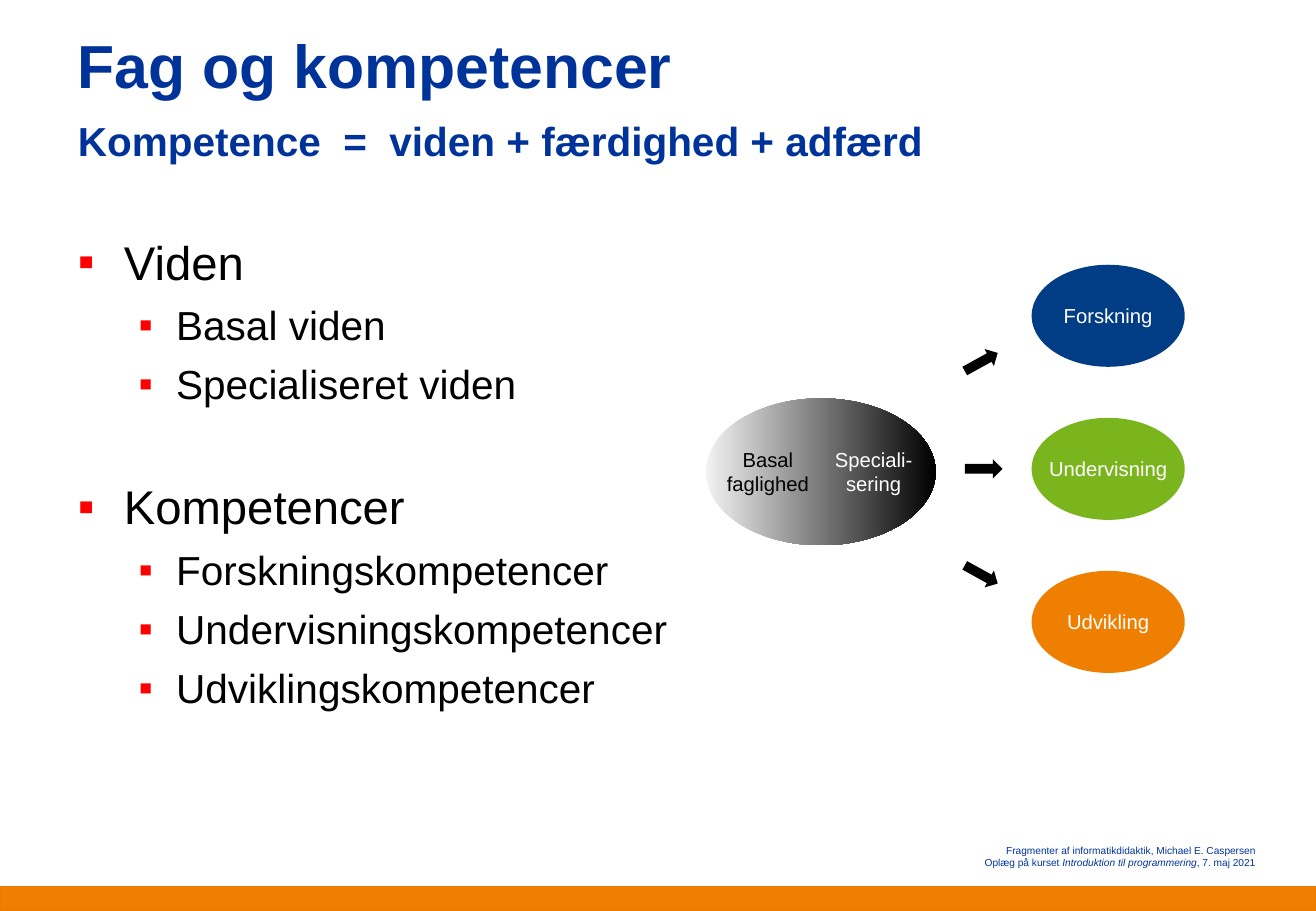
from dataclasses import dataclass
from typing import Optional

from lxml import etree
from pptx import Presentation
from pptx import util as u
from pptx.dml.color import RGBColor
from pptx.enum import shapes, text
from pptx.oxml import ns


@dataclass(frozen=True)
class Theme:
    font: str = "Arial"
    heading: str = "003399"
    ink: str = "000000"
    white: str = "FFFFFF"
    bullet: str = "FF0000"
    orange: str = "EE7F00"
    orange_edge: str = "E97C00"
    blue: str = "003D85"
    green: str = "7AB51D"
    pale: str = "F2F2F2"
    title_size: float = 36
    subtitle_size: float = 24
    topic_size: float = 28
    detail_size: float = 24
    label_size: float = 12
    footer_size: float = 6


@dataclass(frozen=True)
class Box:
    left: float
    top: float
    width: float
    height: float

    def lengths(self):
        return [u.Inches(n) for n in (self.left, self.top, self.width, self.height)]


@dataclass(frozen=True)
class Point:
    words: str
    level: int
    before: float


@dataclass(frozen=True)
class Outcome:
    name: str
    colour: str
    arrow: Box
    turn: float


THEME = Theme()
CENTER, RIGHT = text.PP_ALIGN.CENTER, text.PP_ALIGN.RIGHT
POINTS = [
    Point("Viden", 0, 0),
    Point("Basal viden", 1, 6.2),
    Point("Specialiseret viden", 1, 6.2),
    Point("Kompetencer", 0, 41.3),
    Point("Forskningskompetencer", 1, 6.2),
    Point("Undervisningskompetencer", 1, 6.2),
    Point("Udviklingskompetencer", 1, 6.2),
]
OUTCOMES = [
    Outcome("Forskning", THEME.blue, Box(7.92, 2.9, 0.31, 0.16), 331.1),
    Outcome("Undervisning", THEME.green, Box(7.94, 3.78, 0.31, 0.16), 0),
    Outcome("Udvikling", THEME.orange, Box(7.92, 4.65, 0.31, 0.16), 28.9),
]


def add_run(paragraph, words: str, size: float, colour: str,
            bold: bool = False, italic: bool = False, spacing: float = 0):
    run = paragraph.add_run()
    run.text = words
    run.font.name = THEME.font
    run.font.size = u.Pt(size)
    run.font.bold = bold
    run.font.italic = italic
    run.font.color.rgb = RGBColor.from_string(colour)
    if spacing:
        run.font._element.set("spc", str(round(spacing * 100)))


def place(placeholder, box: Box):
    placeholder.left, placeholder.top, placeholder.width, placeholder.height = box.lengths()
    frame = placeholder.text_frame
    frame.word_wrap = True
    frame.auto_size = text.MSO_AUTO_SIZE.NONE
    frame.vertical_anchor = text.MSO_ANCHOR.TOP
    return frame


def add_figure(slide, kind, box: Box, fill: Optional[str] = None):
    figure = slide.shapes.add_shape(kind, *box.lengths())
    figure.shadow.inherit = False
    figure.line.fill.background()
    if fill:
        figure.fill.solid()
        figure.fill.fore_color.rgb = RGBColor.from_string(fill)
    return figure


def add_lines(slide, box: Box, lines, size: float, colour: str, align,
              anchor=text.MSO_ANCHOR.TOP):
    frame = slide.shapes.add_textbox(*box.lengths()).text_frame
    frame.word_wrap = True
    frame.vertical_anchor = anchor
    for index, line in enumerate(lines):
        paragraph = frame.add_paragraph() if index else frame.paragraphs[0]
        paragraph.alignment = align
        for words, italic in line:
            add_run(paragraph, words, size, colour, italic=italic)


def add_bullet(paragraph, indent: float, hanging: float):
    properties = paragraph._p.get_or_add_pPr()
    properties.set("marL", str(u.Inches(indent)))
    properties.set("indent", str(-u.Inches(hanging)))
    colour = etree.SubElement(properties, ns.qn("a:buClr"))
    etree.SubElement(colour, ns.qn("a:srgbClr"), val=THEME.bullet)
    etree.SubElement(properties, ns.qn("a:buFont"), typeface=THEME.font)
    etree.SubElement(properties, ns.qn("a:buChar"), char="▪")


def add_heading(slide):
    heading = place(slide.shapes.title, Box(0.54, 0.25, 9.75, 1.25)).paragraphs[0]
    heading.alignment = text.PP_ALIGN.LEFT
    heading.line_spacing = u.Pt(38)
    add_run(heading, "Fag og kompetencer", THEME.title_size, THEME.heading, bold=True)
    heading.add_line_break()
    for words, spacing in [("Kompetence", 0), (" ", 6.67), ("=", 0), (" ", 6.67),
                           ("viden + færdighed + adfærd", 0)]:
        add_run(heading, words, THEME.subtitle_size, THEME.heading,
                bold=True, spacing=spacing)


def add_points(slide):
    frame = place(slide.placeholders[1], Box(0.54, 1.87, 5.11, 4.67))
    levels = [(0.38, 0.38, THEME.topic_size), (0.81, 0.31, THEME.detail_size)]
    for index, point in enumerate(POINTS):
        indent, hanging, size = levels[point.level]
        paragraph = frame.add_paragraph() if index else frame.paragraphs[0]
        paragraph.level = point.level
        add_bullet(paragraph, indent, hanging)
        paragraph.space_before = u.Pt(point.before)
        add_run(paragraph, point.words, size, THEME.ink)


def add_diagram(slide):
    oval = shapes.MSO_SHAPE.OVAL
    subject = add_figure(slide, oval, Box(5.81, 3.28, 1.89, 1.21))
    subject.fill.gradient()
    subject.fill.gradient_angle = 0
    for stop, colour in zip(subject.fill.gradient_stops, (THEME.pale, THEME.ink)):
        stop.color.rgb = RGBColor.from_string(colour)
    add_lines(slide, Box(6.72, 3.63, 0.94, 0.5), [[("Speciali-sering", False)]],
              THEME.label_size, THEME.white, CENTER)
    add_lines(slide, Box(5.85, 3.63, 0.94, 0.5), [[("Basal", False)], [("faglighed", False)]],
              THEME.label_size, THEME.ink, CENTER)
    for row, outcome in enumerate(OUTCOMES):
        goal = add_figure(slide, oval, Box(8.49, 2.18 + 1.26 * row, 1.26, 0.84), outcome.colour)
        goal.text_frame.word_wrap = False
        label = goal.text_frame.paragraphs[0]
        label.alignment = CENTER
        add_run(label, outcome.name, THEME.label_size, THEME.white)
        arrow = add_figure(slide, shapes.MSO_SHAPE.RIGHT_ARROW, outcome.arrow, THEME.ink)
        arrow.rotation = outcome.turn


def add_footer(slide):
    band = add_figure(slide, shapes.MSO_SHAPE.RECTANGLE, Box(0, 7.3, 10.83, 0.2), THEME.orange)
    band.line.color.rgb = RGBColor.from_string(THEME.orange_edge)
    band.line.width = u.Pt(0.75)
    credit = [
        [("Fragmenter af informatikdidaktik, Michael E. Caspersen", False)],
        [("Oplæg på kurset ", False), ("Introduktion til programmering", True),
         (", 7. maj 2021", False)],
    ]
    add_lines(slide, Box(5.5, 6.9, 4.93, 0.3), credit, THEME.footer_size, THEME.heading,
              RIGHT, text.MSO_ANCHOR.MIDDLE)


def main():
    deck = Presentation()
    deck.slide_width, deck.slide_height = u.Inches(10.83), u.Inches(7.5)
    slide = deck.slides.add_slide(deck.slide_layouts[1])
    add_footer(slide)
    add_heading(slide)
    add_points(slide)
    add_diagram(slide)
    deck.save("out.pptx")


if __name__ == "__main__":
    main()
